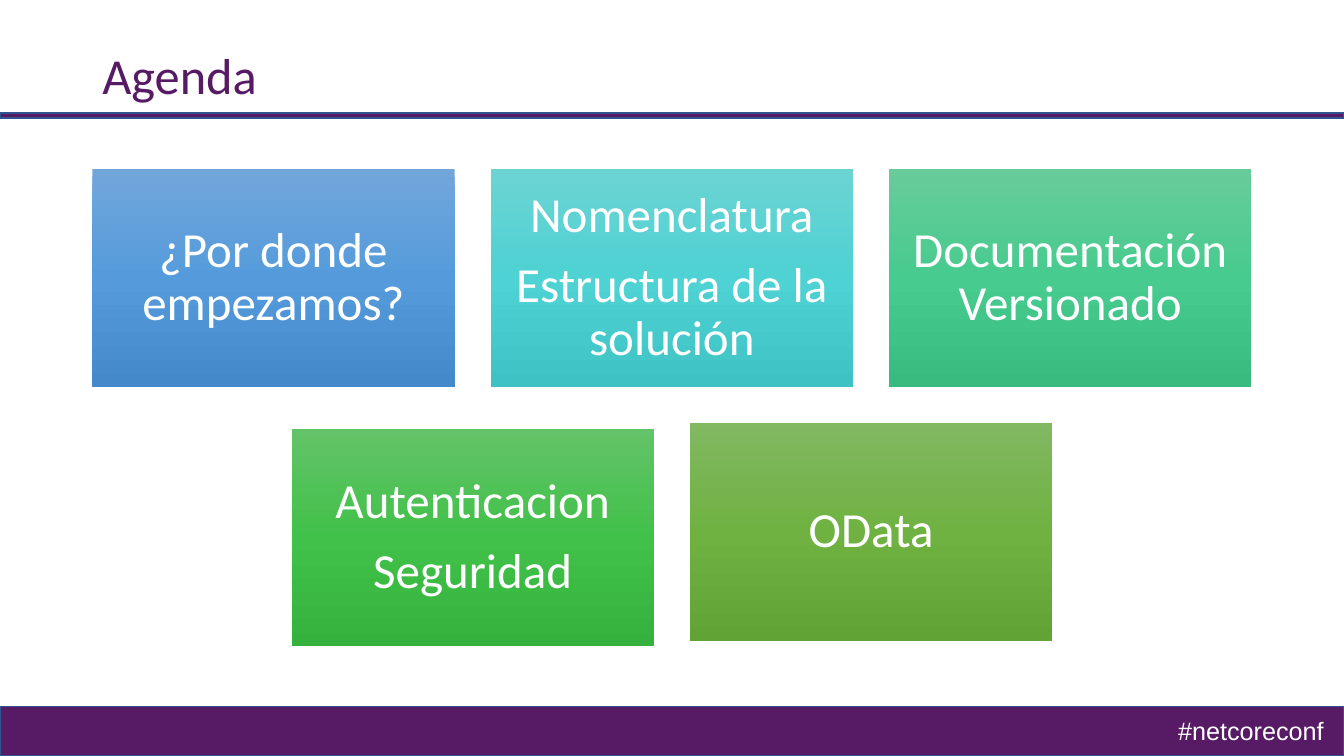
from copy import deepcopy

from pptx import Presentation
from pptx.dml.color import RGBColor
from pptx.enum.shapes import MSO_SHAPE as Shape
from pptx.enum.text import MSO_ANCHOR as Anchor, PP_ALIGN as Align
from pptx.oxml.ns import qn
from pptx.util import Pt

WIDTH, HEIGHT = 960, 540
PURPLE, EDGE, WHITE = "561B64", "325491", "FFFFFF"
TITLE = "Agenda"
HASHTAG = "#netcoreconf"
BANDS = [(504.7, 35.3), (80.6, 3.6)]
ROWS = [
    (121, [
        (["¿Por donde empezamos?"], ["71A6DB", "559BDB", "448ACA"], 0),
        (["Nomenclatura", "Estructura de la solución"], ["6CD3D3", "4ED2D3", "3EC2C3"], 0),
        (["Documentación Versionado"], ["67CC9A", "47CB8E", "39BB7F"], 0),
    ]),
    (302.3, [
        (["Autenticacion", "Seguridad"], ["63C368", "42C14A", "34B23D"], 4),
        (["OData"], ["81B861", "6FB242", "62A336"], 0),
    ]),
]
CARD_WIDTH, CARD_HEIGHT, GAP = 258.8, 155.3, 25.8
CARD_INSET = 10.5


def color(code):
    return RGBColor.from_string(code)


def add_rect(page, left, top, width, height):
    box = page.shapes.add_shape(Shape.RECTANGLE, Pt(left), Pt(top), Pt(width), Pt(height))
    box.shadow.inherit = False
    return box


def add_band(page, top, height):
    band = add_rect(page, 0, top, WIDTH, height)
    band.fill.solid()
    band.fill.fore_color.rgb = color(PURPLE)
    band.line.color.rgb = color(EDGE)
    band.line.width = Pt(1)


def write(box, lines, size, font, code, align=Align.LEFT, spacing=None, after=None):
    frame = box.text_frame
    for index, line in enumerate(lines):
        para = frame.add_paragraph() if index else frame.paragraphs[0]
        para.alignment = align
        para.line_spacing = spacing
        para.space_after = after
        span = para.add_run()
        span.text = line
        span.font.size = Pt(size)
        span.font.name = font
        span.font.color.rgb = color(code)


def add_label(page, left, top, width, height, wrap):
    box = page.shapes.add_textbox(Pt(left), Pt(top), Pt(width), Pt(height))
    box.text_frame.word_wrap = wrap
    return box


def fill_gradient(box, codes):
    box.fill.gradient()
    box.fill.gradient_angle = 270
    stops = box.element.spPr.find(".//" + qn("a:gsLst"))
    stops.append(deepcopy(stops[-1]))
    for index, (stop, code) in enumerate(zip(box.fill.gradient_stops, codes)):
        stop.position = index / (len(codes) - 1)
        stop.color.rgb = color(code)


def add_card(page, left, top, lines, codes):
    card = add_rect(page, left, top, CARD_WIDTH, CARD_HEIGHT)
    fill_gradient(card, codes)
    card.line.fill.background()
    frame = card.text_frame
    frame.word_wrap = True
    frame.vertical_anchor = Anchor.MIDDLE
    frame.margin_left = frame.margin_right = Pt(CARD_INSET)
    frame.margin_top = frame.margin_bottom = Pt(CARD_INSET)
    write(card, lines, 35, "Calibri", WHITE, Align.CENTER, 0.9, Pt(12.25))


def main():
    deck = Presentation()
    deck.slide_width, deck.slide_height = Pt(WIDTH), Pt(HEIGHT)
    page = deck.slides.add_slide(deck.slide_layouts[6])

    for top, height in BANDS:
        add_band(page, top, height)
    hashtag = add_label(page, 834.4, 507.6, 119.3, 29, False)
    write(hashtag, [HASHTAG], 18, "Arial", WHITE)
    title = add_label(page, 66, 10, 828, 92.3, True)
    title.text_frame.vertical_anchor = Anchor.MIDDLE
    write(title, [TITLE], 36, "Calibri", PURPLE, spacing=0.9)

    pitch = CARD_WIDTH + GAP
    for top, cards in ROWS:
        start = (WIDTH - len(cards) * pitch + GAP) / 2
        for column, (lines, codes, drop) in enumerate(cards):
            add_card(page, start + column * pitch, top + drop, lines, codes)

    deck.save("out.pptx")


if __name__ == "__main__":
    main()
